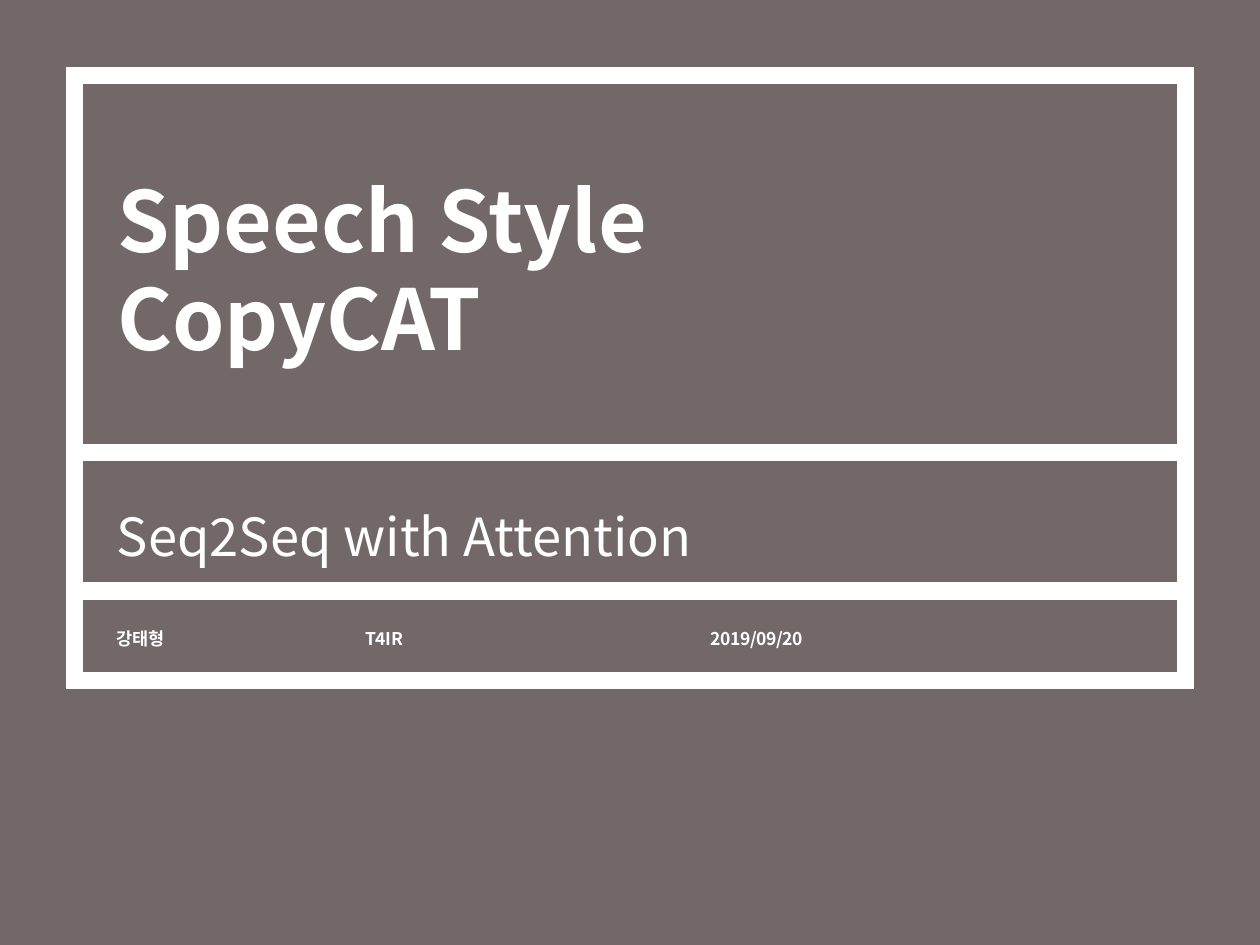
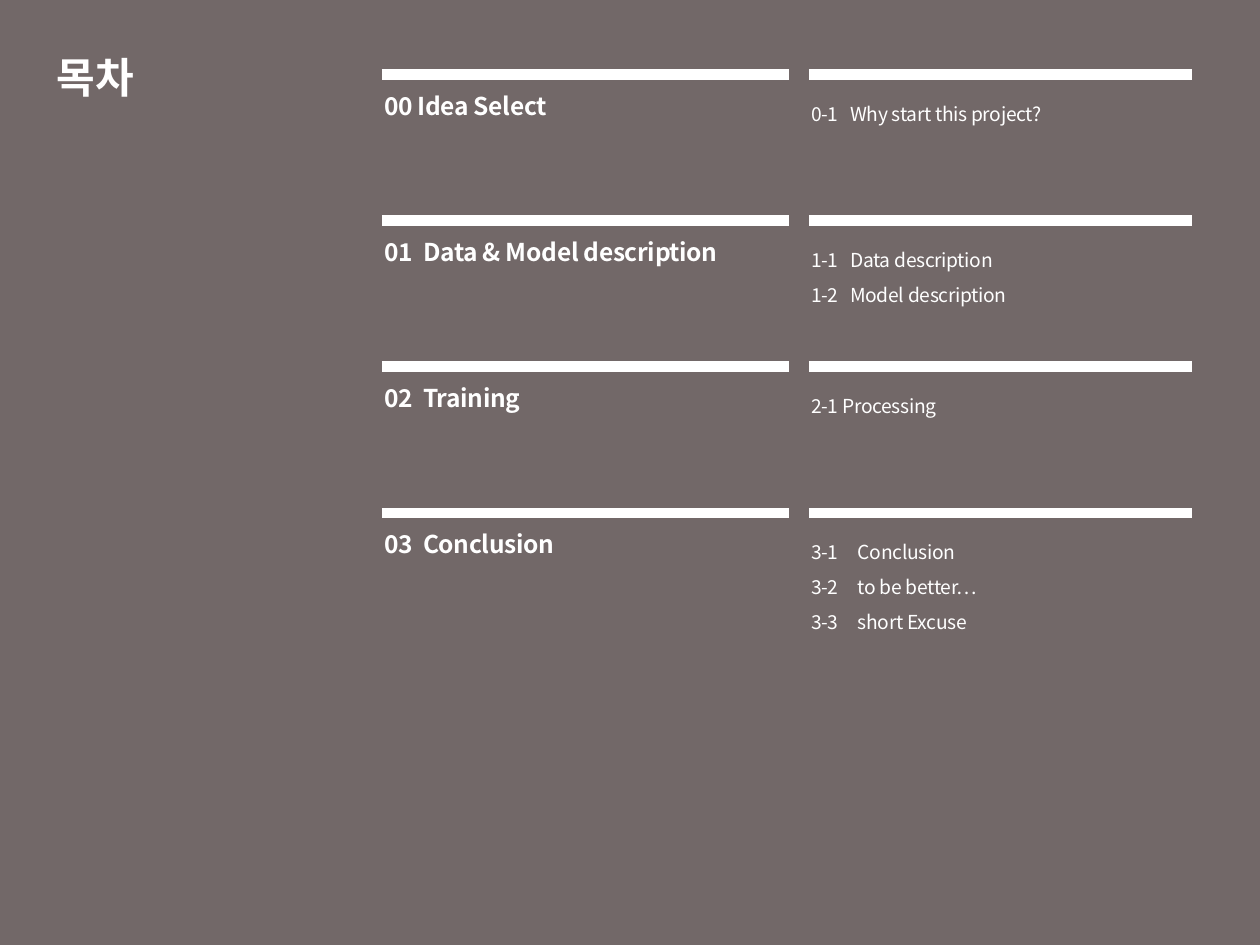
from lxml import etree
from pptx import Presentation
from pptx.dml.color import RGBColor
from pptx.enum.shapes import MSO_CONNECTOR, MSO_SHAPE
from pptx.enum.text import MSO_ANCHOR, MSO_AUTO_SIZE, PP_ALIGN
from pptx.oxml.ns import qn
from pptx.util import Inches, Pt

STRAIGHT = MSO_CONNECTOR.STRAIGHT
RECTANGLE = MSO_SHAPE.RECTANGLE
MIDDLE, TOP = MSO_ANCHOR.MIDDLE, MSO_ANCHOR.TOP
LEFT = PP_ALIGN.LEFT
NO_AUTOFIT = MSO_AUTO_SIZE.NONE

FONT = "Noto Sans CJK KR"
BACKDROP, INK = "726868", "FFFFFF"
TITLE_ONLY = 5
TIGHT = -20  # letter spacing, hundredths of a point

COVER_BOX = (0.59, 0.6, 8.82)  # left, top, width
COVER_ROWS = (2.99, 1.1, 0.71)
CREDITS = (("강태형", 0, 2.4), ("T4IR", 1.97, 2.83), ("2019/09/20", 4.71, 2.4))

AGENDA_BOX = (3.03, 0.59)
AGENDA_PITCH = 1.16
HEADING_WIDTH, DETAIL_WIDTH, GUTTER = 3.23, 3.04, 0.16
# heading, details, hanging indent of the details
AGENDA = (
    ("00 Idea Select", ("0-1\tWhy start this project?",), 0.31),
    ("01\tData & Model description",
     ("1-1\tData description", "1-2\tModel description"), 0.31),
    ("02\tTraining", ("2-1 Processing",), 0.31),
    ("03\tConclusion",
     ("3-1\tConclusion", "3-2\tto be better…", "3-3\tshort Excuse"), 0.37),
)


def color(hex_value):
    return RGBColor.from_string(hex_value)


def style(paragraph, size, bold=False, tracking=0, leading=None, before=0,
          hang=0):
    """Format a paragraph; hang is the column, in inches, that a tab reaches."""
    paragraph.alignment = LEFT
    paragraph.space_before = Pt(before)
    if leading:
        paragraph.line_spacing = leading
    font = paragraph.font
    font.name, font.size, font.bold = FONT, Pt(size), bold
    font.color.rgb = color(INK)
    properties = paragraph._p.get_or_add_pPr()
    if hang:
        properties.set("marL", str(Inches(hang)))
        properties.set("indent", str(-Inches(hang)))
    defaults = properties.find(qn("a:defRPr"))
    defaults.set("spc", str(tracking))
    etree.SubElement(defaults, qn("a:ea")).set("typeface", FONT)


def write(shape, lines, anchor=TOP, **look):
    frame = shape.text_frame
    frame.word_wrap = True
    frame.auto_size = NO_AUTOFIT
    frame.vertical_anchor = anchor
    frame.text = "\n".join(lines)
    for paragraph in frame.paragraphs:
        style(paragraph, **look)


def add_text(slide, box, lines, **look):
    write(slide.shapes.add_textbox(*map(Inches, box)), lines, **look)


def set_title(slide, box, text, **look):
    title = slide.shapes.title
    title.left, title.top, title.width, title.height = map(Inches, box)
    write(title, [], anchor=MIDDLE, bold=True, **look)
    # A vertical tab becomes a line break within the one paragraph
    title.text_frame.paragraphs[0].text = text


def add_frame(slide, box):
    frame = slide.shapes.add_shape(RECTANGLE, *map(Inches, box))
    frame.shadow.inherit = False
    frame.fill.background()
    frame.line.width = Pt(10)
    frame.line.color.rgb = color(INK)
    miter = etree.SubElement(frame.line._get_or_add_ln(), qn("a:miter"))
    miter.set("lim", "800000")


def add_rule(slide, left, top, width):
    rule = slide.shapes.add_connector(
        STRAIGHT, *map(Inches, (left, top, left + width, top)))
    rule.line.width = Pt(6)
    rule.line.color.rgb = color(INK)
    etree.SubElement(rule._element.spPr, qn("a:effectLst"))


def build_cover(slide, box):
    left, top, width = box
    text_left = left + 0.24
    set_title(slide, (text_left, top + 0.24, 7.8, 2.6),
              "Speech Style\vCopyCAT", size=48, leading=Pt(56))
    row_tops = []
    for height in COVER_ROWS:
        add_frame(slide, (left, top, width, height))
        row_tops.append(top)
        top += height
    add_text(slide, (text_left, row_tops[1] + 0.08, 6.69, 0.87),
             ["Seq2Seq with Attention"], size=30, leading=Pt(56))
    for credit, offset, credit_width in CREDITS:
        add_text(slide,
                 (text_left + offset, row_tops[2] + 0.16, credit_width, 0.87),
                 [credit], size=10, bold=True, tracking=TIGHT, leading=1.5,
                 before=2)


def add_agenda_row(slide, left, top, heading, details, hang):
    detail_left = left + HEADING_WIDTH + GUTTER
    add_rule(slide, left, top, HEADING_WIDTH)
    add_rule(slide, detail_left, top, DETAIL_WIDTH)
    text_top = top + 0.08
    add_text(slide, (left - 0.08, text_top, 3.62, 0.39), [heading],
             size=14, bold=True, tracking=TIGHT, before=2.8, hang=0.31)
    add_text(slide, (detail_left - 0.08, text_top, 3.62, 0.71), details,
             size=11, tracking=TIGHT, leading=1.5, hang=hang)


def build_agenda(slide, box):
    left, top = box
    set_title(slide, (0.35, 0.29, 3.15, 0.63), "목차", size=24)
    for row, (heading, details, hang) in enumerate(AGENDA):
        add_agenda_row(slide, left, top + row * AGENDA_PITCH,
                       heading, details, hang)


def main():
    deck = Presentation()
    deck.slide_width, deck.slide_height = Inches(10), Inches(7.5)
    backdrop = deck.slide_master.background.fill
    backdrop.solid()
    backdrop.fore_color.rgb = color(BACKDROP)
    layout = deck.slide_layouts[TITLE_ONLY]
    build_cover(deck.slides.add_slide(layout), COVER_BOX)
    build_agenda(deck.slides.add_slide(layout), AGENDA_BOX)
    deck.save("out.pptx")


if __name__ == "__main__":
    main()
